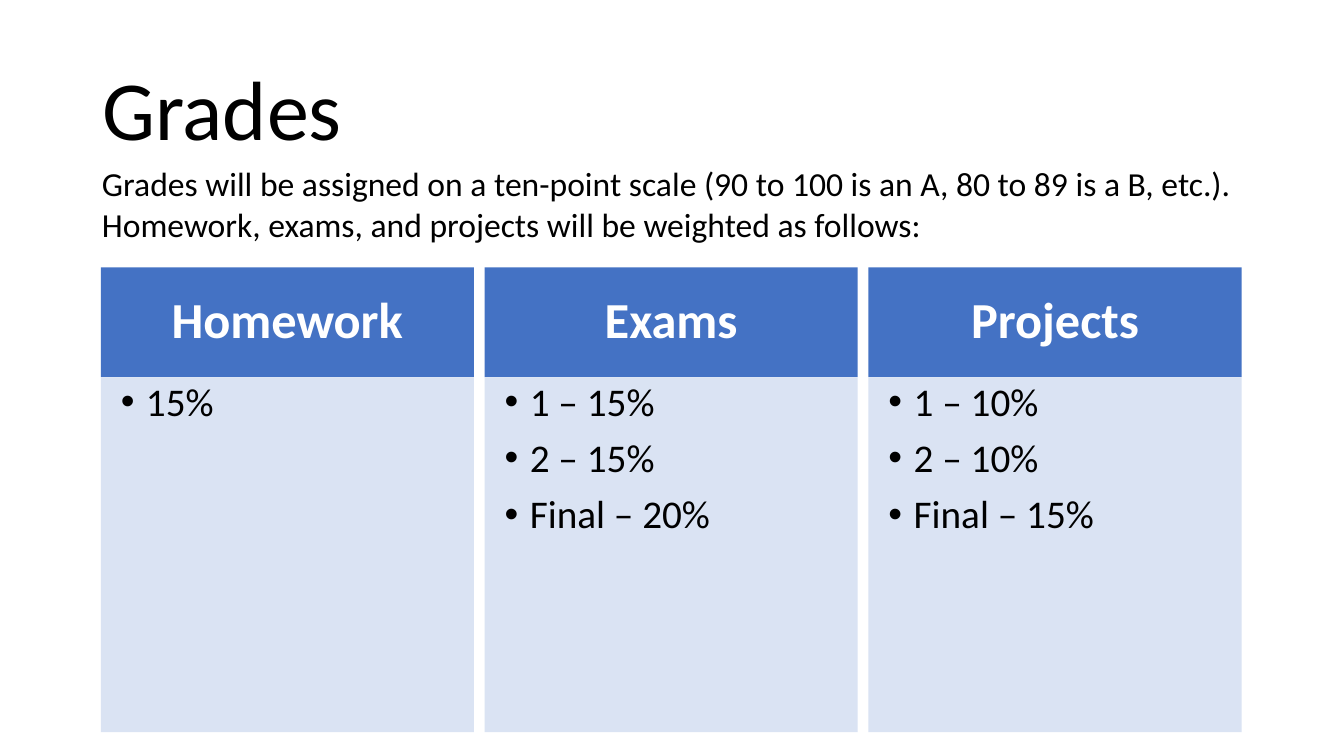
from lxml import etree
from pptx import Presentation
from pptx.dml.color import RGBColor
from pptx.enum.shapes import MSO_SHAPE
from pptx.enum.text import MSO_ANCHOR, PP_ALIGN
from pptx.oxml.ns import qn
from pptx.util import Pt

RECTANGLE = MSO_SHAPE.RECTANGLE
TOP, MIDDLE = MSO_ANCHOR.TOP, MSO_ANCHOR.MIDDLE
LEFT, CENTER = PP_ALIGN.LEFT, PP_ALIGN.CENTER

BLACK = RGBColor(0x00, 0x00, 0x00)
WHITE = RGBColor(0xFF, 0xFF, 0xFF)
BLUE = RGBColor(0x44, 0x72, 0xC4)
PALE_BLUE = RGBColor(0xDA, 0xE3, 0xF3)
FONT = "Calibri"

COLUMN_LEFT, COLUMN_WIDTH, COLUMN_PITCH = 72, 266.5, 274.2
HEADER_TOP, HEADER_HEIGHT, BODY_HEIGHT = 191, 78.5, 253.5

GRADE_WEIGHTS = [
    ("Homework", ["15%"]),
    ("Exams", ["1 – 15%", "2 – 15%", "Final – 20%"]),
    ("Projects", ["1 – 10%", "2 – 10%", "Final – 15%"]),
]


def write_run(paragraph, text, size, color, bold=False):
    run = paragraph.add_run()
    run.text = text
    run.font.name = FONT
    run.font.size = Pt(size)
    run.font.bold = bold
    run.font.color.rgb = color


def add_text(slide, left, top, width, height, text, size, anchor=TOP, line_spacing=1.0):
    box = slide.shapes.add_textbox(Pt(left), Pt(top), Pt(width), Pt(height))
    frame = box.text_frame
    frame.word_wrap = True
    frame.vertical_anchor = anchor
    paragraph = frame.paragraphs[0]
    paragraph.line_spacing = line_spacing
    write_run(paragraph, text, size, BLACK)


def add_panel(slide, left, top, height, fill, anchor):
    """Add a borderless rectangle of column width and return its text frame."""
    panel = slide.shapes.add_shape(RECTANGLE, Pt(left), Pt(top), Pt(COLUMN_WIDTH), Pt(height))
    panel.shadow.inherit = False
    panel.fill.solid()
    panel.fill.fore_color.rgb = fill
    panel.line.fill.background()
    frame = panel.text_frame
    frame.word_wrap = True
    frame.vertical_anchor = anchor
    return frame


def format_paragraph(paragraph, alignment):
    paragraph.alignment = alignment
    paragraph.line_spacing = 0.9
    paragraph.space_before = Pt(10)


def add_bullet(paragraph):
    properties = paragraph._p.get_or_add_pPr()
    properties.set("marL", str(Pt(25.2)))
    properties.set("indent", str(Pt(-18)))
    etree.SubElement(properties, qn("a:buFont"), typeface="Arial")
    etree.SubElement(properties, qn("a:buChar"), char="•")


def add_column(slide, left, heading, weights):
    header = add_panel(slide, left, HEADER_TOP, HEADER_HEIGHT, BLUE, MIDDLE).paragraphs[0]
    format_paragraph(header, CENTER)
    write_run(header, heading, 36, WHITE, bold=True)

    body = add_panel(slide, left, HEADER_TOP + HEADER_HEIGHT, BODY_HEIGHT, PALE_BLUE, TOP)
    for index, weight in enumerate(weights):
        paragraph = body.add_paragraph() if index else body.paragraphs[0]
        format_paragraph(paragraph, LEFT)
        add_bullet(paragraph)
        write_run(paragraph, weight, 28, BLACK)


def main():
    presentation = Presentation()
    presentation.slide_width = Pt(960)
    presentation.slide_height = Pt(540)
    slide = presentation.slides.add_slide(presentation.slide_layouts[6])

    add_text(slide, 66, 28.75, 828, 104.4, "Grades", 60, MIDDLE, 0.9)
    add_text(slide, 65.8, 113, 828, 65.5,
             "Grades will be assigned on a ten-point scale (90 to 100 is an A, 80 to 89 is a B, "
             "etc.). Homework, exams, and projects will be weighted as follows:", 24)
    for index, (heading, weights) in enumerate(GRADE_WEIGHTS):
        add_column(slide, COLUMN_LEFT + index * COLUMN_PITCH, heading, weights)

    presentation.save("out.pptx")


if __name__ == "__main__":
    main()
